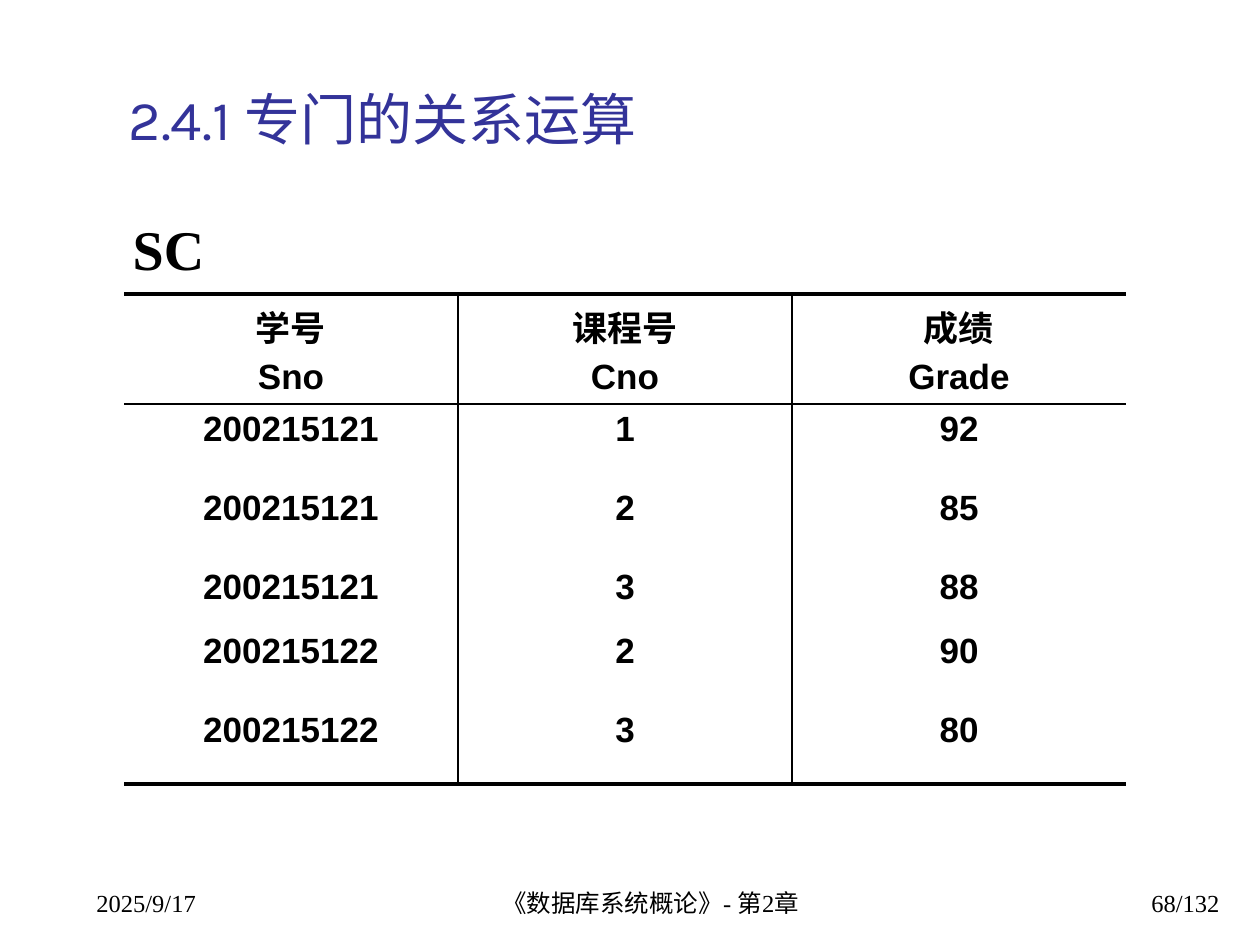
from dataclasses import dataclass

from lxml import etree
from pptx import Presentation
from pptx import util as u
from pptx.dml.color import RGBColor
from pptx.enum import text
from pptx.oxml import ns

EMU_PER_PX = 914400 / 126


def px(length: int) -> u.Emu:
    return u.Emu(round(length * EMU_PER_PX))


@dataclass(frozen=True)
class Style:
    font: str
    size: int
    color: str = "000000"
    bold: bool = False


@dataclass(frozen=True)
class Theme:
    title: Style = Style("Karla", 32, "333399")
    label: Style = Style("Times New Roman", 32, bold=True)
    footer: Style = Style("Times New Roman", 14)
    cell: Style = Style("Arial", 20, bold=True)
    rule_color: str = "000000"
    thin_rule: float = 1
    thick_rule: float = 2.25


@dataclass(frozen=True)
class Label:
    words: str
    left: int
    top: int
    width: int
    height: int
    style: Style
    align: text.PP_ALIGN
    anchor: text.MSO_ANCHOR = text.MSO_ANCHOR.BOTTOM
    wrap: bool = True


THEME = Theme()
ALIGN = text.PP_ALIGN

TITLE = Label("2.4.1 专门的关系运算", 116, 53, 1116, 105, THEME.title, ALIGN.LEFT)
LABELS = [
    Label("SC", 94, 214, 149, 69, THEME.label, ALIGN.CENTER,
          text.MSO_ANCHOR.MIDDLE, wrap=False),
    Label("2025/9/17", 84, 861, 262, 63, THEME.footer, ALIGN.LEFT),
    Label("《数据库系统概论》- 第2章", 451, 861, 399, 63, THEME.footer, ALIGN.CENTER),
    Label("68/132", 970, 861, 262, 63, THEME.footer, ALIGN.RIGHT),
]

TABLE_LEFT, TABLE_TOP, COLUMN_WIDTH = 124, 294, 334
ROW_HEIGHTS = [110, 79, 79, 64, 79, 79]
GRADES = [
    ("学号\nSno", "课程号\nCno", "成绩\nGrade"),
    ("200215121", "1", "92"),
    ("200215121", "2", "85"),
    ("200215121", "3", "88"),
    ("200215122", "2", "90"),
    ("200215122", "3", "80"),
]


def write(frame, words: str, style: Style, align: text.PP_ALIGN) -> None:
    for index, line in enumerate(words.split("\n")):
        paragraph = frame.paragraphs[0] if index == 0 else frame.add_paragraph()
        paragraph.alignment = align
        paragraph.space_before = u.Pt(style.size * 0.2 if index else 0)
        run = paragraph.add_run()
        run.text = line
        run.font.name = style.font
        run.font.size = u.Pt(style.size)
        run.font.bold = style.bold
        run.font.color.rgb = RGBColor.from_string(style.color)


def fill_label(shape, label: Label) -> None:
    frame = shape.text_frame
    frame.auto_size = text.MSO_AUTO_SIZE.NONE
    frame.word_wrap = label.wrap
    frame.vertical_anchor = label.anchor
    write(frame, label.words, label.style, label.align)


def place_title(slide, label: Label) -> None:
    shape = slide.shapes.title
    shape.left, shape.top = px(label.left), px(label.top)
    shape.width, shape.height = px(label.width), px(label.height)
    fill_label(shape, label)


def add_label(slide, label: Label) -> None:
    shape = slide.shapes.add_textbox(
        px(label.left), px(label.top), px(label.width), px(label.height))
    fill_label(shape, label)


def set_borders(cell, widths: dict[str, float]) -> None:
    """Draw the four sides in schema order; a width of 0 hides a side."""
    properties = cell._tc.get_or_add_tcPr()
    for position, side in enumerate(("lnL", "lnR", "lnT", "lnB")):
        line = etree.Element(ns.qn(f"a:{side}"), w=str(int(u.Pt(widths[side]))))
        if widths[side]:
            fill = etree.SubElement(line, ns.qn("a:solidFill"))
            etree.SubElement(fill, ns.qn("a:srgbClr"), val=THEME.rule_color)
        else:
            etree.SubElement(line, ns.qn("a:noFill"))
        properties.insert(position, line)


def add_grades(slide) -> None:
    row_count, column_count = len(GRADES), len(GRADES[0])
    table = slide.shapes.add_table(
        row_count, column_count, px(TABLE_LEFT), px(TABLE_TOP),
        px(COLUMN_WIDTH * column_count), px(sum(ROW_HEIGHTS))).table
    table.horz_banding = False
    for column in table.columns:
        column.width = px(COLUMN_WIDTH)
    # Thick outer rules, a thin one below the header, none between records
    rules = ([THEME.thick_rule, THEME.thin_rule]
             + [0] * (row_count - 2) + [THEME.thick_rule])
    dividers = [0] + [THEME.thin_rule] * (column_count - 1) + [0]
    for row, record in enumerate(GRADES):
        table.rows[row].height = px(ROW_HEIGHTS[row])
        for column, words in enumerate(record):
            cell = table.cell(row, column)
            cell.fill.background()
            write(cell.text_frame, words, THEME.cell, ALIGN.CENTER)
            set_borders(cell, {
                "lnL": dividers[column], "lnR": dividers[column + 1],
                "lnT": rules[row], "lnB": rules[row + 1]})


def main() -> None:
    presentation = Presentation()
    presentation.slide_width, presentation.slide_height = px(1260), px(945)
    slide = presentation.slides.add_slide(presentation.slide_layouts[5])

    # Heading
    place_title(slide, TITLE)

    # Relation name and footer
    for label in LABELS:
        add_label(slide, label)

    # Relation SC
    add_grades(slide)

    presentation.save("out.pptx")


if __name__ == "__main__":
    main()
